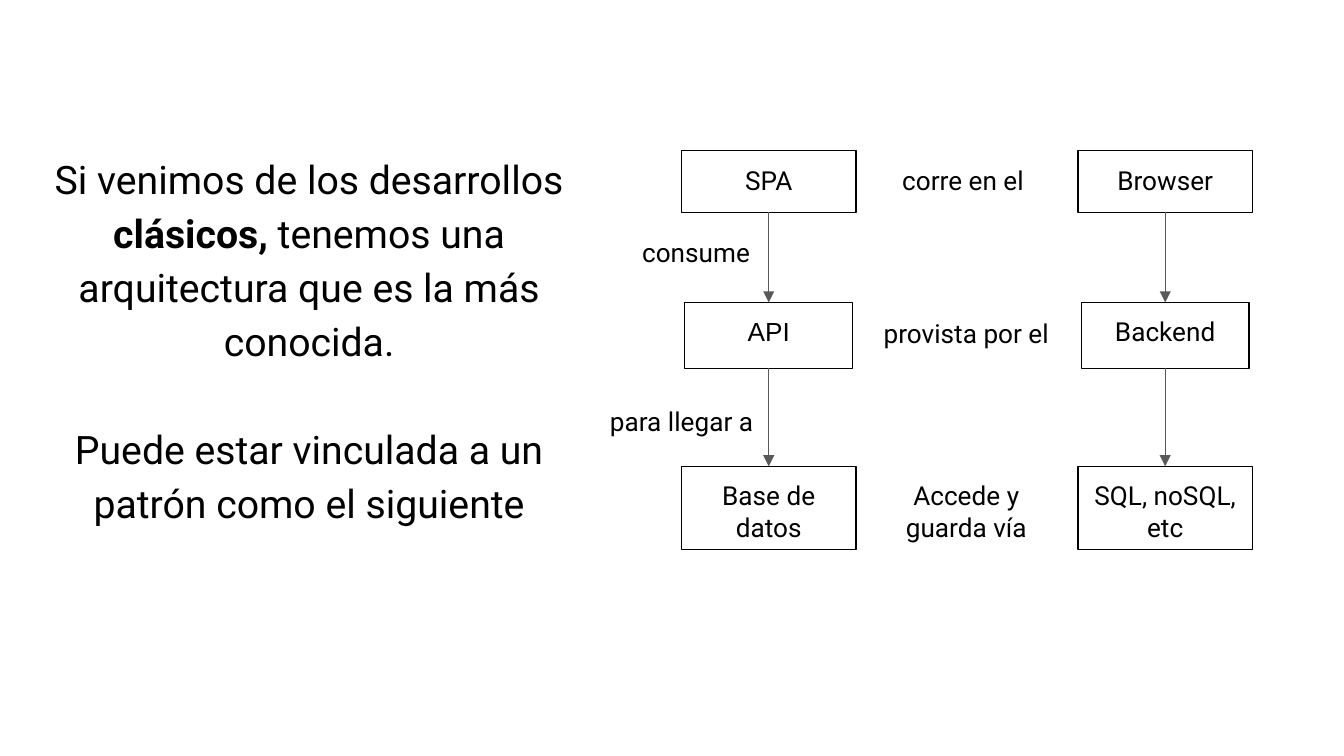
from itertools import pairwise

from pptx import Presentation
from pptx.dml.color import RGBColor
from pptx.enum import shapes, text
from pptx.oxml import ns, xmlchemy
from pptx.util import Inches, Pt

WIDTH = 10
INTRO = [
    [("Si venimos de los desarrollos ", False), ("clásicos,", True),
     (" tenemos una arquitectura que es la más conocida.", False)],
    [("Puede estar vinculada a un patrón como el siguiente", False)],
]
COLUMNS = [
    (5.72, [("SPA", "Roboto"), ("API", "Arial"), ("Base de datos", "Roboto")]),
    (8.67, [("Browser", "Roboto"), ("Backend", "Roboto"), ("SQL, noSQL, etc", "Roboto")]),
]
ROWS = [(1.12, 1.3, 0.46), (2.25, 1.25, 0.49), (3.47, 1.3, 0.62)]
CENTER, LEFT = text.PP_ALIGN.CENTER, text.PP_ALIGN.LEFT
LABELS = [
    ("corre en el ", 6.54, 1.12, 1.3, 0.46, CENTER),
    ("provista por el", 6.44, 2.26, 1.5, 0.46, CENTER),
    ("Accede y guarda vía", 6.44, 3.47, 1.5, 0.46, CENTER),
    ("consume", 4.68, 1.66, 1.04, 0.6, LEFT),
    ("para llegar a", 4.44, 2.92, 1.36, 0.6, LEFT),
]
BLACK, GRAY = "000000", "595959"


def color(value):
    return RGBColor.from_string(value)


def style_font(font, size, name="Roboto"):
    font.size = Pt(size)
    font.name = name
    font.color.rgb = color(BLACK)


def prepare_frame(shape):
    frame = shape.text_frame
    frame.word_wrap = True
    frame.vertical_anchor = text.MSO_ANCHOR.TOP
    frame.margin_left = frame.margin_right = Inches(0.1)
    frame.margin_top = frame.margin_bottom = Inches(0.1)
    return frame


def write_label(shape, words, align, name="Roboto"):
    frame = prepare_frame(shape)
    frame.text = words
    para = frame.paragraphs[0]
    para.alignment = align
    style_font(para.runs[0].font, 14, name)


def add_intro(page):
    frame = prepare_frame(page.shapes.add_textbox(
        Inches(0.24), Inches(1), Inches(4.12), Inches(3.91)))
    for index, parts in enumerate(INTRO):
        para = frame.add_paragraph() if index else frame.paragraphs[0]
        para.alignment = CENTER
        para.line_spacing = 1.15
        if index:
            para.space_before = Pt(29)
        for words, bold in parts:
            span = para.add_run()
            span.text = words
            style_font(span.font, 21)
            span.font.bold = bold


def add_node(page, center, row, words, name):
    top, width, height = row
    box = page.shapes.add_shape(
        shapes.MSO_SHAPE.RECTANGLE, Inches(center - width / 2), Inches(top),
        Inches(width), Inches(height))
    box.shadow.inherit = False
    box.fill.background()
    box.line.color.rgb = color(BLACK)
    box.line.width = Pt(0.75)
    write_label(box, words, CENTER, name)
    return box


def add_arrow(page, upper, lower):
    arrow = page.shapes.add_connector(shapes.MSO_CONNECTOR.STRAIGHT, 0, 0, 0, 0)
    arrow.begin_connect(upper, 2)
    arrow.end_connect(lower, 0)
    arrow.line.color.rgb = color(GRAY)
    arrow.line.width = Pt(0.75)
    head = xmlchemy.OxmlElement("a:tailEnd")
    head.set("type", "triangle")
    properties = arrow.element.find(ns.qn("p:spPr"))
    properties.find(ns.qn("a:ln")).append(head)
    properties.append(xmlchemy.OxmlElement("a:effectLst"))


def main():
    deck = Presentation()
    deck.slide_width, deck.slide_height = Inches(WIDTH), Inches(WIDTH * 9 / 16)
    page = deck.slides.add_slide(deck.slide_layouts[6])
    add_intro(page)
    for center, nodes in COLUMNS:
        boxes = [add_node(page, center, row, *node) for row, node in zip(ROWS, nodes)]
        for upper, lower in pairwise(boxes):
            add_arrow(page, upper, lower)
    for words, left, top, width, height, align in LABELS:
        label = page.shapes.add_textbox(
            Inches(left), Inches(top), Inches(width), Inches(height))
        write_label(label, words, align)
    deck.save("out.pptx")


if __name__ == "__main__":
    main()
